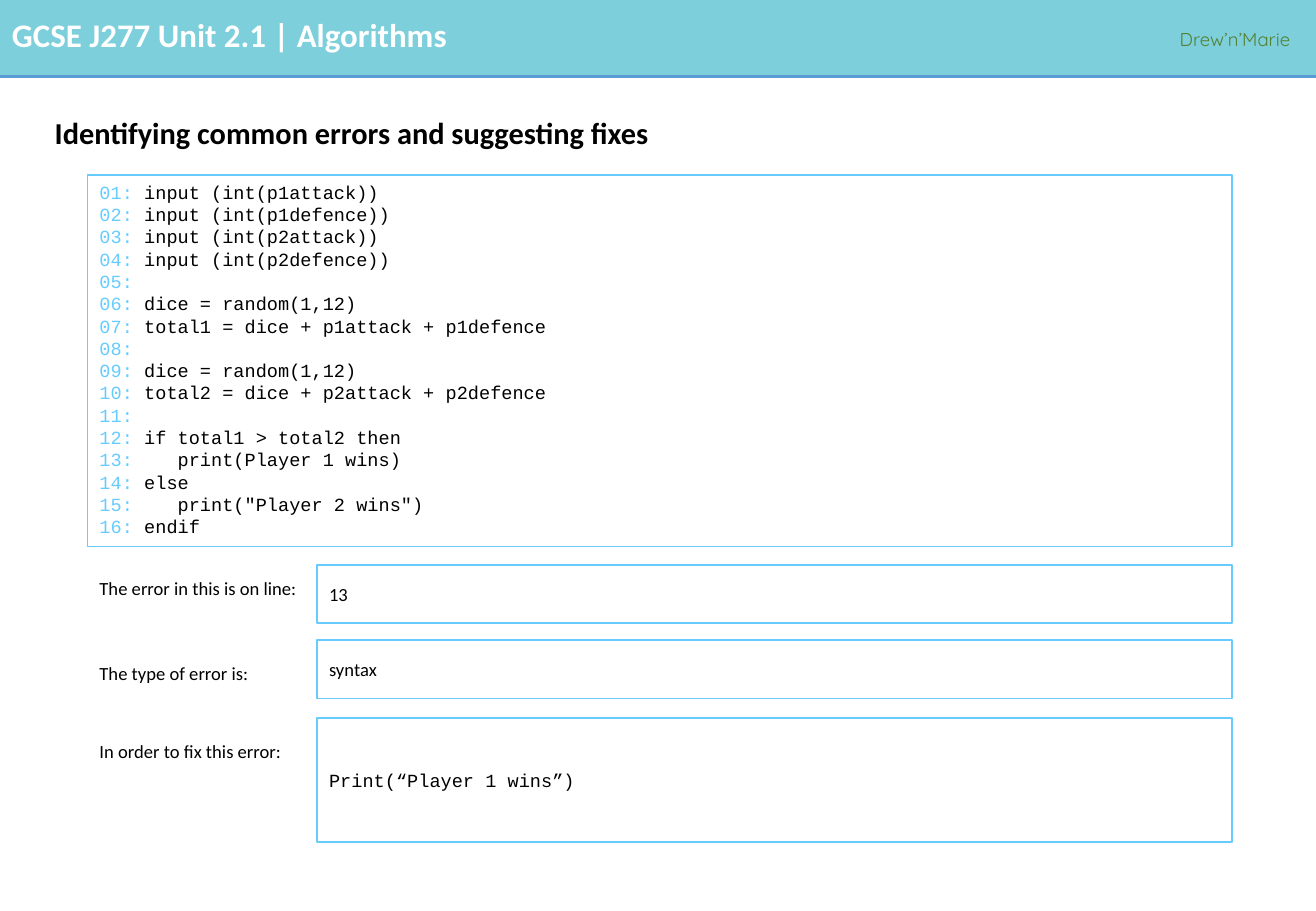
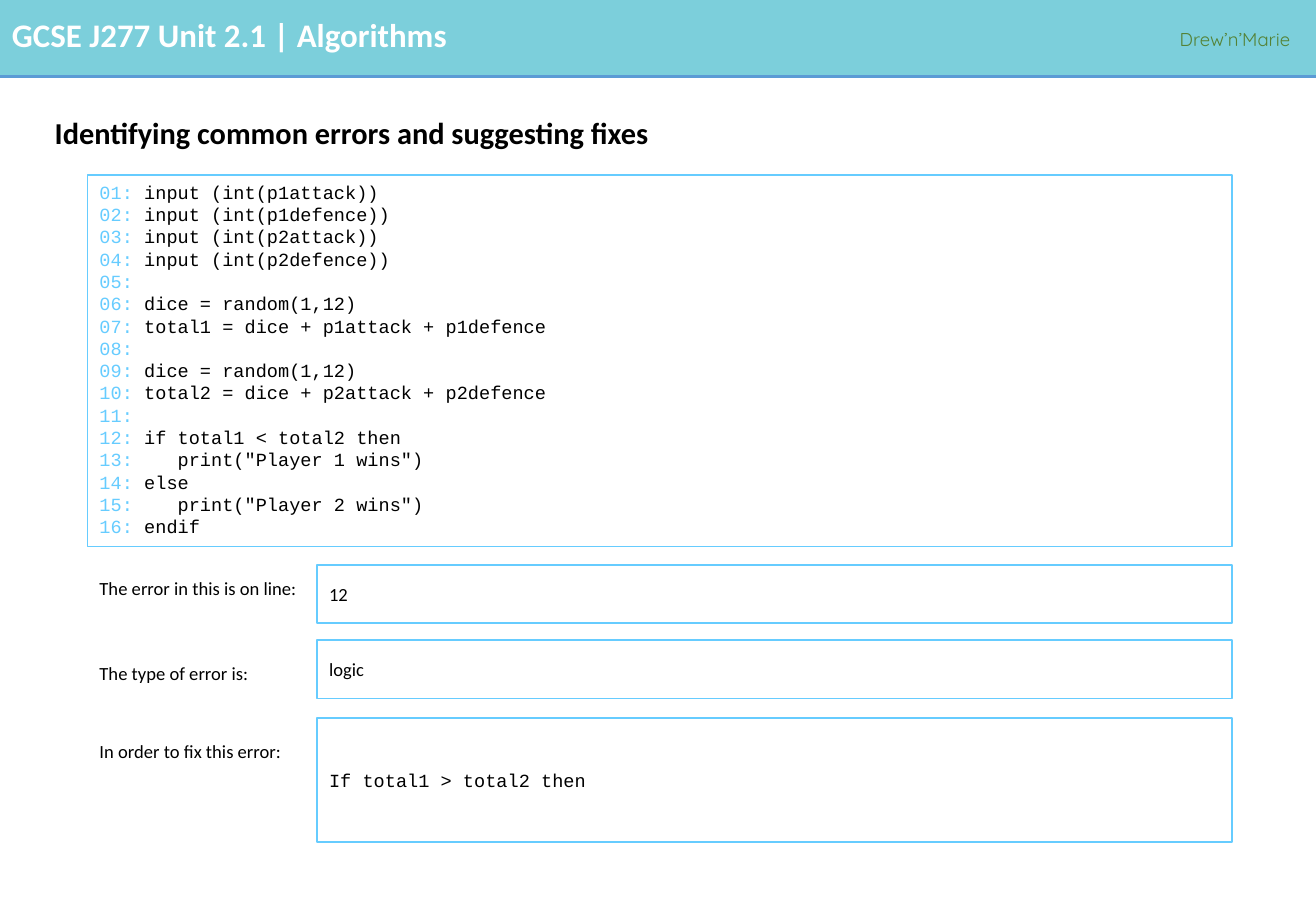
from lxml.etree import SubElement
from pptx import Presentation
from pptx.dml.color import RGBColor
from pptx.enum.shapes import MSO_CONNECTOR, MSO_SHAPE
from pptx.enum.text import MSO_ANCHOR, MSO_AUTO_SIZE, PP_ALIGN
from pptx.oxml.ns import qn
from pptx.util import Inches, Pt

BAND, RULE, FRAME = "7CCFDB", "5B9BD5", "66CCFF"
BLACK, WHITE, GREEN = "000000", "FFFFFF", "548235"

BODY = {"name": "Calibri", "size": Pt(11), "bold": False}
CODE = {**BODY, "name": "Courier New"}
CREDIT = {**BODY, "name": "Quicksand"}
UNIT = {**BODY, "size": Pt(19.5), "bold": True}
HEADING = {**BODY, "size": Pt(18), "bold": True}

HEADER_BOX = (0, 0, 10.83, 0.63)
TITLE_BOX = (0.35, 0.83, 10.1, 0.56)
LISTING_BOX = (0.72, 1.44, 9.42, 3.06)
ANSWERS_BOX = (0.72, 4.65, 9.42, 2.28)
LABEL_WIDTH = 1.89

# Offsets within the answers box: label, label top, field top, field height.
QUESTIONS = [
    ("The error in this is on line:", 0.05, 0, 0.48),
    ("The type of error is:", 0.75, 0.62, 0.48),
    ("In order to fix this error:", 1.39, 1.26, 1.02),
]

LISTING = """input (int(p1attack))
input (int(p1defence))
input (int(p2attack))
input (int(p2defence))

dice = random(1,12)
total1 = dice + p1attack + p1defence

dice = random(1,12)
total2 = dice + p2attack + p2defence

if total1 {sign} total2 then
   print({message})
else
   print("Player 2 wins")
endif"""

EXERCISES = [
    (LISTING.format(sign=">", message="Player 1 wins"),
     ("13", "syntax", "Print(“Player 1 wins”)")),
    (LISTING.format(sign="<", message='"Player 1 wins"'),
     ("12", "logic", "If total1 > total2 then")),
]


def rgb(value):
    """Turn a hex string into a colour."""
    return RGBColor.from_string(value)


def apply(target, formats):
    """Set every format value on the target."""
    for attribute, value in formats.items():
        setattr(target, attribute, value)


def inches(box):
    """Convert a box to lengths."""
    return [Inches(length) for length in box]


def add_run(paragraph, wording, font, colour):
    """Append a formatted run to a paragraph."""
    run = paragraph.add_run()
    run.text = wording
    apply(run.font, font)
    run.font.color.rgb = rgb(colour)


def add_label(slide, box, wording, font, colour, wrap=True):
    """Add a text box with one line of wording."""
    label = slide.shapes.add_textbox(*inches(box))
    apply(label.text_frame, {"word_wrap": wrap, "auto_size": MSO_AUTO_SIZE.SHAPE_TO_FIT_TEXT})
    add_run(label.text_frame.paragraphs[0], wording, font, colour)
    return label


def add_frame(slide, box, anchor):
    """Add an outlined rectangle and return its text frame."""
    frame = slide.shapes.add_shape(MSO_SHAPE.RECTANGLE, *inches(box))
    frame.shadow.inherit = False
    frame.fill.background()
    frame.line.color.rgb = rgb(FRAME)
    frame.line.width = Pt(1)
    apply(frame.text_frame, {"word_wrap": True, "vertical_anchor": anchor})
    frame.text_frame.paragraphs[0].alignment = PP_ALIGN.LEFT
    return frame.text_frame


def draw_header(slide, box):
    """Draw the band, its rule, the unit name and the credit."""
    left, top, width, height = box
    band = slide.shapes.add_shape(MSO_SHAPE.RECTANGLE, *inches(box))
    band.shadow.inherit = False
    band.fill.solid()
    band.fill.fore_color.rgb = rgb(BAND)
    band.line.fill.background()
    bottom = top + height
    rule = slide.shapes.add_connector(
        MSO_CONNECTOR.STRAIGHT, *inches((left, bottom, left + width, bottom)))
    rule.line.color.rgb = rgb(RULE)
    rule.line.width = Pt(2.25)
    SubElement(rule._element.spPr, qn("a:effectLst"))
    add_label(slide, (left, top + 0.07, 9.48, 0.43),
              "GCSE J277 Unit 2.1 | Algorithms", UNIT, WHITE)
    credit = add_label(slide, (left + width - 1.22, top + 0.17, 1.22, 0.29),
                       "Drew’n’Marie", CREDIT, GREEN, wrap=False)
    apply(credit.text_frame.paragraphs[0], {"line_spacing": 1.07, "space_after": Pt(8)})


def place_title(slide, box):
    """Move and fill the title placeholder."""
    title = slide.shapes.title
    apply(title, dict(zip(("left", "top", "width", "height"), inches(box))))
    apply(title.text_frame, {"word_wrap": True, "auto_size": MSO_AUTO_SIZE.NONE,
                             "vertical_anchor": MSO_ANCHOR.MIDDLE})
    heading = title.text_frame.paragraphs[0]
    apply(heading, {"alignment": PP_ALIGN.LEFT, "line_spacing": 0.9})
    add_run(heading, "Identifying common errors and suggesting fixes", HEADING, BLACK)


def draw_listing(slide, box, listing):
    """Draw the framed program with numbered lines."""
    frame = add_frame(slide, box, MSO_ANCHOR.TOP)
    for number, statement in enumerate(listing.splitlines(), 1):
        line = frame.paragraphs[0] if number == 1 else frame.add_paragraph()
        line.alignment = PP_ALIGN.LEFT
        add_run(line, f"{number:02}: " if statement else f"{number:02}:", CODE, FRAME)
        if statement:
            add_run(line, statement, CODE, BLACK)


def draw_answers(slide, box, answers):
    """Draw each question label beside its answer field."""
    left, top, width, _ = box
    for (question, label_top, field_top, height), answer, font in zip(
            QUESTIONS, answers, (BODY, BODY, CODE)):
        add_label(slide, (left, top + label_top, LABEL_WIDTH, 0.29), question, BODY, BLACK)
        field = add_frame(slide, (left + LABEL_WIDTH, top + field_top, width - LABEL_WIDTH, height),
                          MSO_ANCHOR.MIDDLE)
        add_run(field.paragraphs[0], answer, font, BLACK)


def build_exercise(deck, listing, answers):
    """Build one error-finding slide."""
    slide = deck.slides.add_slide(deck.slide_layouts[5])
    draw_header(slide, HEADER_BOX)
    place_title(slide, TITLE_BOX)
    draw_listing(slide, LISTING_BOX, listing)
    draw_answers(slide, ANSWERS_BOX, answers)


def main():
    """Build and save the deck."""
    deck = Presentation()
    apply(deck, {"slide_width": Inches(10.83), "slide_height": Inches(7.5)})
    for listing, answers in EXERCISES:
        build_exercise(deck, listing, answers)
    deck.save("out.pptx")


if __name__ == "__main__":
    main()
